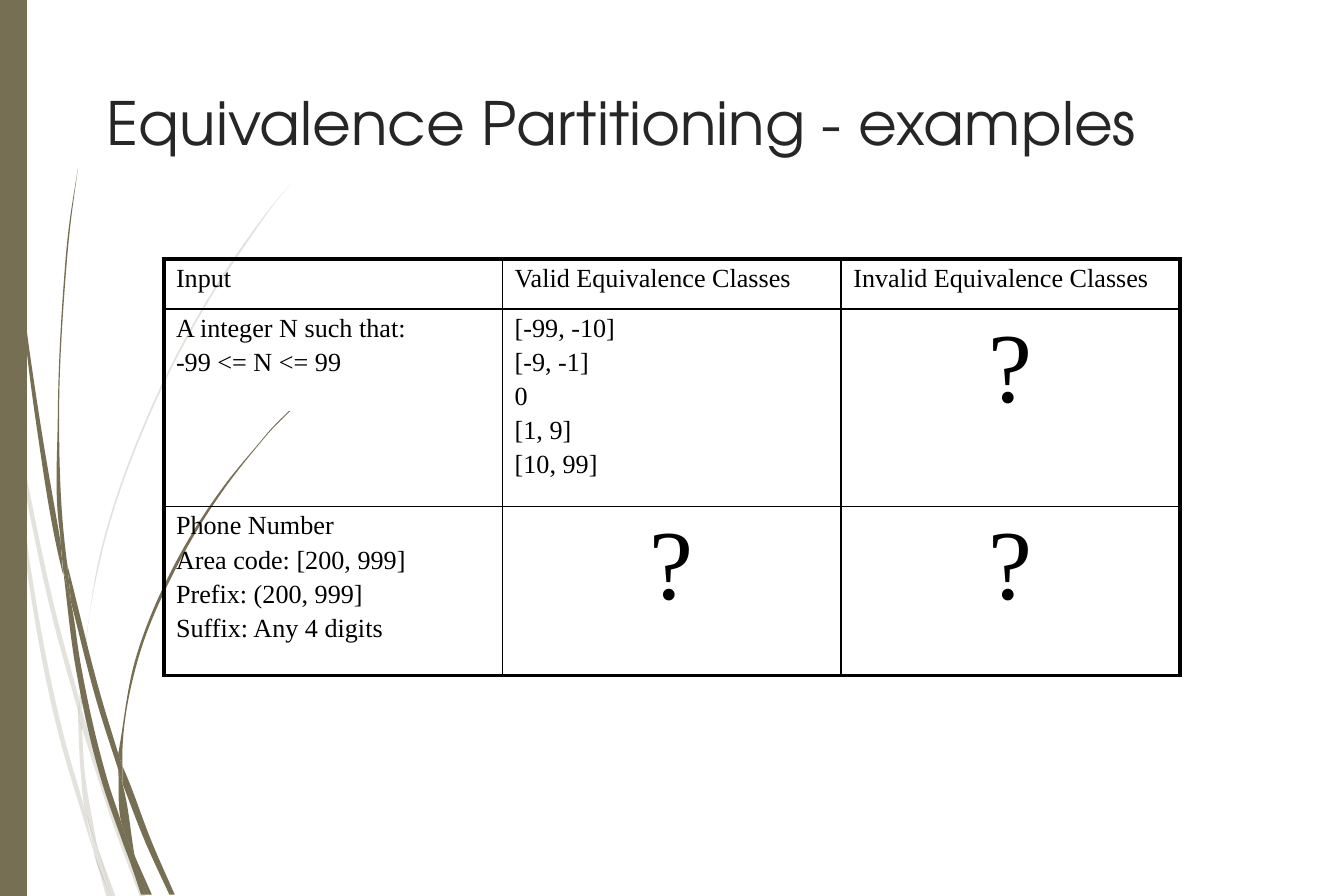
from itertools import product
from math import dist

from lxml.etree import SubElement
from pptx import Presentation
from pptx.dml.color import RGBColor
from pptx.enum.shapes import MSO_SHAPE
from pptx.enum.text import MSO_ANCHOR, MSO_AUTO_SIZE, PP_ALIGN
from pptx.oxml.ns import qn
from pptx.util import Inches, Pt

WIDTH, HEIGHT = Inches(10), Inches(6.67)
OLIVE, BLACK, CHARCOAL = "766F54", "000000", "262626"
COLUMN_WIDTH = 2.52
ROW_HEIGHTS = [0.37, 1.47, 1.26]
ROWS = [
    ["Input", "Valid Equivalence Classes", "Invalid Equivalence Classes"],
    ["A integer N such that:\n-99 <= N <= 99", "[-99, -10]\n[-9, -1]\n0\n[1, 9]\n[10, 99]", "?"],
    ["Phone Number\nArea code: [200, 999]\nPrefix: (200, 999]\nSuffix: Any 4 digits", "?", "?"],
]
PALE_BLADES = [
    ([(0.08, 3.11), (0.06, 2.86), (0, 2.5)], [(0, 2.66), (0.07, 3.06)]),
    ([(0.1, 3.07), (0.43, 4.62), (0.59, 5.21)], [(0.59, 5.33), (0.4, 4.64), (0.12, 3.34)]),
    ([(0.61, 5.29), (0.64, 5.39), (0.88, 6.15), (1.08, 6.67)],
     [(1.04, 6.67), (0.85, 6.16), (0.61, 5.42)]),
    ([(0.73, 6.32), (0.86, 6.67)], [(0.83, 6.67)]),
    ([(0.08, 3.11), (0.12, 3.34), (0.22, 4.17), (0.48, 5.5), (0.64, 6.07), (0.7, 6.35)],
     [(0.64, 6.16), (0.45, 5.52), (0.19, 4.17), (0.08, 3.11)]),
    ([(0.58, 5.33), (0.6, 5.74), (0.64, 6.07), (0.73, 6.32)],
     [(0.72, 6.28), (0.63, 5.74), (0.61, 5.42)]),
    ([(0.61, 5.29), (0.61, 5.19), (0.76, 4.11), (1.11, 3.1), (1.59, 2.18), (1.87, 1.76),
      (2.01, 1.56), (2.17, 1.36)],
     [(2.17, 1.36), (2.01, 1.55), (1.86, 1.75), (1.58, 2.17), (1.1, 3.09), (0.75, 4.1),
      (0.59, 5.19)]),
    ([(0.7, 6.35), (0.79, 6.67)], [(0.82, 6.67)]),
    ([(0.61, 5.43), (0.61, 5.3), (0.59, 5.21)], [(0.58, 5.33)]),
    ([(0.65, 6.07), (0.69, 6.29), (0.7, 6.35), (0.82, 6.67)],
     [(0.83, 6.67), (0.73, 6.32), (0.67, 6.15)]),
]
DARK_BLADES = [
    ([(0.02, 0), (0.03, 0.43), (0.05, 0.98), (0.14, 2.07), (0.27, 3.16), (0.46, 4.24), (0.47, 4.28)],
     [(0.45, 4.03), (0.3, 3.15), (0.15, 2.06), (0.06, 0.97), (0.04, 0.43), (0.03, 0)]),
    ([(0.5, 4.2), (0.77, 5.25), (0.88, 5.61)], [(0.88, 5.73), (0.73, 5.26), (0.53, 4.49)]),
    ([(0.91, 5.7), (0.94, 5.77), (1.13, 6.27), (1.3, 6.66)],
     [(1.26, 6.66), (1.09, 6.29), (0.91, 5.83)]),
    ([(0.47, 4.24), (0.53, 4.49), (0.6, 4.94), (0.81, 5.84), (0.91, 6.15), (0.97, 6.42)],
     [(0.92, 6.29), (0.77, 5.86), (0.56, 4.95), (0.47, 4.24)]),
    ([(0.5, 4.2), (0.48, 4.03), (0.44, 3.1), (0.48, 2.17), (0.52, 1.71), (0.58, 1.25)],
     [(0.58, 1.25), (0.51, 1.71), (0.47, 2.17), (0.43, 3.1), (0.45, 3.99), (0.49, 4.19)]),
    ([(1.01, 6.39), (1.13, 6.66)], [(1.1, 6.66)]),
    ([(0.47, 4.24), (0.53, 4.49)], [(0.5, 4.2), (0.45, 3.99), (0.45, 4.03)]),
    ([(0.91, 5.7), (0.91, 5.63), (1.03, 4.9), (1.31, 4.23), (1.69, 3.61), (1.91, 3.33),
      (2.03, 3.19), (2.16, 3.06)],
     [(2.15, 3.06), (2.03, 3.18), (1.91, 3.32), (1.68, 3.6), (1.29, 4.22), (1.01, 4.9),
      (0.88, 5.61)]),
    ([(0.97, 6.42), (1.05, 6.66)], [(1.08, 6.66)]),
    ([(0.88, 5.73), (0.91, 6.15), (0.96, 6.28), (1.01, 6.39)],
     [(1, 6.36), (0.91, 5.83), (0.88, 5.73)]),
    ([(0.88, 5.73), (0.91, 5.83)], [(0.91, 5.7), (0.88, 5.61)]),
    ([(0.91, 6.15), (0.97, 6.42), (1.08, 6.66)], [(1.1, 6.66), (1.01, 6.39), (0.96, 6.28)]),
]


def color(value):
    """Turn a hex string into a color."""
    return RGBColor.from_string(value)


def paint(shape, value, opacity=100):
    """Give a shape a flat fill without line or shadow."""
    shape.shadow.inherit = False
    shape.line.fill.background()
    shape.fill.solid()
    shape.fill.fore_color.rgb = color(value)
    if opacity < 100:
        tone = shape.fill._xPr.find(qn("a:solidFill"))[0]
        SubElement(tone, qn("a:alpha"), val=str(opacity * 1000))


def control_points(points):
    """Return the two control points for each span of a smooth edge."""
    spans = list(zip(points, points[1:]))
    lengths = [dist(start, end) for start, end in spans]
    slopes = [tuple((b - a) / length for a, b in zip(*span)) for span, length in zip(spans, lengths)]
    inner = [tuple((p * n + q * m) / (m + n) for p, q in zip(first, second))
             for first, second, m, n in zip(slopes, slopes[1:], lengths, lengths[1:])]
    tangents = [slopes[0], *inner, slopes[-1]] if spans else []
    return [
        (tuple(p + m * length / 3 for p, m in zip(start, leaving)),
         tuple(p - m * length / 3 for p, m in zip(end, arriving)))
        for (start, end), length, leaving, arriving in zip(spans, lengths, tangents, tangents[1:])]


def bend(blade, edges):
    """Turn the straight spans along both edges of a blade into curves."""
    first, second = map(control_points, edges)
    lines = list(blade._element.iter(qn("a:lnTo")))
    for line, controls in zip(lines, [*first, None, *second]):
        if controls:
            line.tag = qn("a:cubicBezTo")
            for index, (x, y) in enumerate(controls):
                point = SubElement(line, qn("a:pt"), x=str(Inches(x) - blade.left),
                                   y=str(Inches(y) - blade.top))
                line.insert(index, point)


def add_blades(slide, blades, opacity):
    """Draw a group of curved grass blades."""
    group = slide.shapes.add_group_shape()
    for edges in blades:
        outline = [(Inches(x), Inches(y)) for edge in edges for x, y in edge]
        builder = group.shapes.build_freeform(*outline[0])
        builder.add_line_segments(outline[1:], close=True)
        blade = builder.convert_to_shape()
        bend(blade, edges)
        paint(blade, OLIVE, opacity)


def add_side_bar(slide):
    """Draw the bar along the left side of the slide."""
    bar = slide.shapes.add_shape(MSO_SHAPE.RECTANGLE, 0, 0, round(WIDTH * 0.02), HEIGHT)
    paint(bar, OLIVE)


def set_title(slide, text):
    """Place and format the title in front of the decoration."""
    title = slide.shapes.title
    slide.shapes._spTree.append(title._element)
    title.left, title.top, title.width, title.height = map(Inches, (0.69, 0.59, 8.82, 0.7))
    frame = title.text_frame
    frame.text = text
    frame.auto_size = MSO_AUTO_SIZE.NONE
    frame.vertical_anchor = MSO_ANCHOR.TOP
    paragraph = frame.paragraphs[0]
    paragraph.alignment = PP_ALIGN.LEFT
    format_font(paragraph.font, "TeX Gyre Adventor", 32, CHARCOAL)


def format_font(font, name, size, value):
    """Set the face, size and color of a font."""
    font.name, font.size = name, Pt(size)
    font.color.rgb = color(value)


def set_borders(cell, heavy_sides):
    """Draw the four cell borders, heavier on the outside of the table."""
    properties = cell._tc.get_or_add_tcPr()
    for index, side in enumerate("LRTB"):
        width = 2.25 if side in heavy_sides else 1
        line = SubElement(properties, qn(f"a:ln{side}"), w=str(Pt(width)))
        SubElement(SubElement(line, qn("a:solidFill")), qn("a:srgbClr"), val=BLACK)
        properties.insert(index, line)


def fill_cell(cell, text):
    """Write the lines of a cell, with a lone question mark large and centred."""
    cell.fill.background()
    cell.margin_left = cell.margin_right = Inches(0.09)
    cell.margin_top = cell.margin_bottom = Inches(0.04)
    cell.text_frame.text = text
    for index, paragraph in enumerate(cell.text_frame.paragraphs):
        if index:
            paragraph.space_before = Pt(2.8)
        if text == "?":
            paragraph.alignment = PP_ALIGN.CENTER
        format_font(paragraph.font, "Times New Roman", 53 if text == "?" else 14, BLACK)


def add_class_table(slide):
    """Add the table of inputs and their equivalence classes."""
    last_row, last_column = len(ROWS) - 1, len(ROWS[0]) - 1
    table = slide.shapes.add_table(
        len(ROWS), len(ROWS[0]), Inches(1.22), Inches(1.93),
        Inches(COLUMN_WIDTH * len(ROWS[0])), Inches(sum(ROW_HEIGHTS))).table
    table.first_row = table.horz_banding = False
    for column in table.columns:
        column.width = Inches(COLUMN_WIDTH)
    for row, height in zip(table.rows, ROW_HEIGHTS):
        row.height = Inches(height)
    for row, column in product(range(last_row + 1), range(last_column + 1)):
        cell = table.cell(row, column)
        fill_cell(cell, ROWS[row][column])
        outside = {"L": column == 0, "R": column == last_column, "T": row == 0, "B": row == last_row}
        set_borders(cell, [side for side, is_outside in outside.items() if is_outside])


def main():
    """Build and save the slide."""
    presentation = Presentation()
    presentation.slide_width, presentation.slide_height = WIDTH, HEIGHT
    slide = presentation.slides.add_slide(presentation.slide_layouts[5])
    add_blades(slide, PALE_BLADES, 20)
    add_blades(slide, DARK_BLADES, 100)
    add_side_bar(slide)
    set_title(slide, "Equivalence Partitioning - examples")
    add_class_table(slide)
    presentation.save("out.pptx")


if __name__ == "__main__":
    main()
